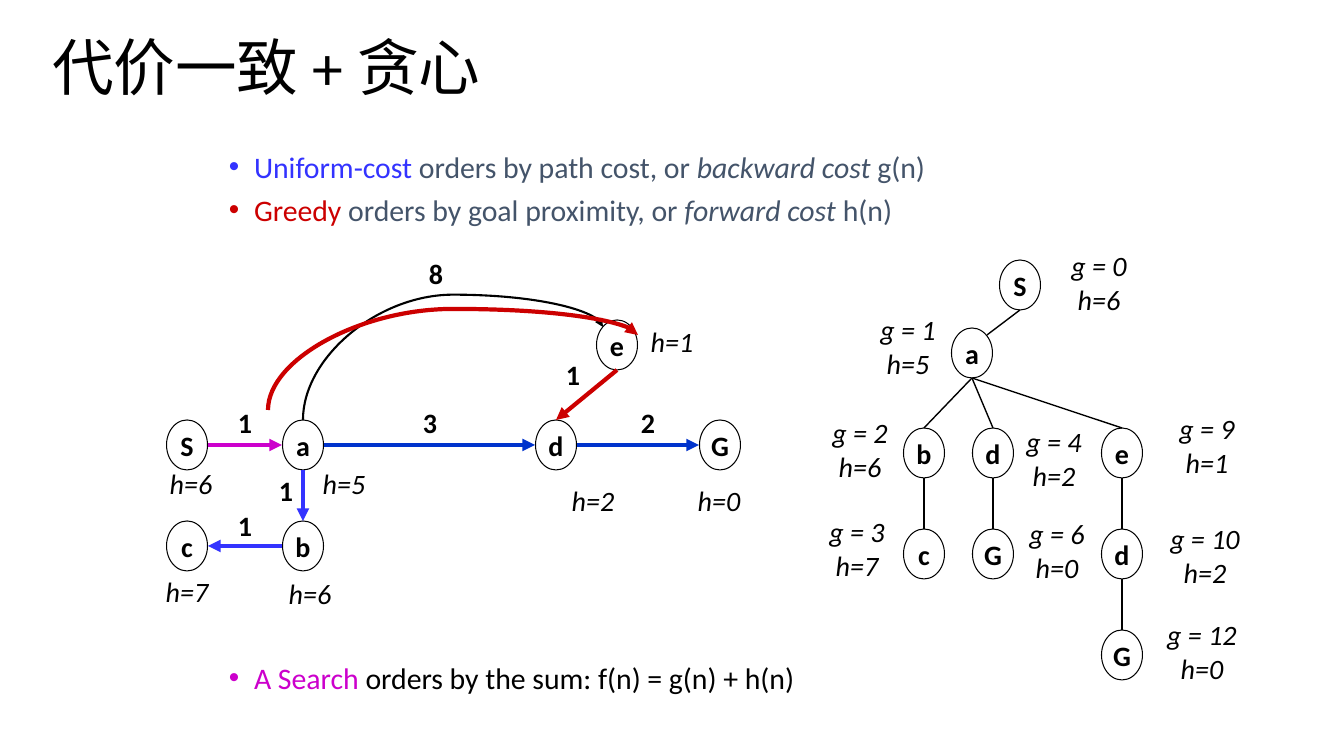
from lxml import etree
from pptx import Presentation
from pptx import util as u
from pptx.dml import color
from pptx.enum import shapes, text
from pptx.oxml import ns

PX = 914400 / 100.8
NODE_W, NODE_H = 41, 50
BLACK, BLUE, NAVY, RED, PURPLE, SLATE = "000000", "3333FF", "0033CC", "CC0000", "CC00CC", "44546A"
PORTS = {"n": (0, -25), "e": (21, 0), "s": (0, 25), "w": (-21, 0), "ne": (15, -18), "nw": (-14, -18)}

GRAPH = {"S": (187, 445), "a": (303, 445), "d": (556, 445), "G": (720, 445),
         "b": (303, 546), "c": (187, 546), "e": (617, 345)}
GRAPH_EDGES = [("S", "e", "a", "w", PURPLE), ("a", "s", "b", "n", BLUE), ("b", "w", "c", "e", BLUE),
               ("e", "s", "d", "n", RED), ("a", "e", "d", "w", NAVY), ("d", "e", "G", "w", NAVY)]
TREE = {"S": (1020, 285), "a": (972, 353), "b": (924, 453), "d": (993, 453), "e": (1122, 453),
        "bc": (924, 554), "dG": (993, 554), "ed": (1122, 554), "edG": (1122, 655)}
TREE_EDGES = [("S", "a", "ne"), ("a", "b", "n"), ("a", "d", "n"), ("a", "e", "n"),
              ("b", "bc", "n"), ("d", "dG", "n"), ("e", "ed", "n"), ("ed", "edG", "n")]
COSTS = [("1", 245, 401), ("8", 436, 252), ("1", 245, 504), ("1", 286, 469),
         ("2", 648, 401), ("3", 430, 401), ("1", 573, 353)]
HEURISTICS = [("h=5", 344, 462), ("h=6", 310, 572), ("h=2", 593, 479), ("h=6", 191, 462),
              ("h=0", 719, 479), ("h=7", 187, 570), ("h=1", 672, 320)]
TREE_VALUES = [(0, 6, 1099, 244), (1, 5, 908, 308), (2, 6, 860, 411), (3, 7, 857, 510), (4, 2, 1054, 420),
               (6, 0, 1057, 512), (9, 1, 1207, 407), (10, 2, 1205, 517), (12, 0, 1202, 613)]


def px(*lengths):
    """Turn pixel lengths into EMU."""
    return [u.Emu(round(length * PX)) for length in lengths]


def rgb(value):
    """Turn a hex string into a colour."""
    return color.RGBColor.from_string(value)


def add_span(para, words, tint=BLACK, size=20, **formats):
    """Add a formatted run to a paragraph."""
    span = para.add_run()
    span.text = words
    for name, value in {"name": "Calibri", "size": u.Pt(size), **formats}.items():
        setattr(span.font, name, value)
    span.font.color.rgb = rgb(tint)


def add_node(page, name, center):
    """Draw a search state as a lettered ellipse."""
    x, y = center
    node = page.shapes.add_shape(shapes.MSO_SHAPE.OVAL,
                                 *px(x - NODE_W / 2, y - NODE_H / 2, NODE_W, NODE_H))
    node.shadow.inherit = False
    node.fill.solid()
    node.fill.fore_color.rgb = rgb("FFFFFF")
    node.line.color.rgb = rgb(BLACK)
    node.line.width = u.Pt(0.75)
    frame = node.text_frame
    frame.word_wrap = False
    frame.vertical_anchor = text.MSO_ANCHOR.MIDDLE
    para = frame.paragraphs[0]
    para.alignment = text.PP_ALIGN.CENTER
    add_span(para, name, bold=True)


def add_label(page, lines, x, top, width, **formats):
    """Write centred lines around a given x."""
    box = page.shapes.add_textbox(*px(x - width / 2, top, width, 10 + 34 * len(lines)))
    frame = box.text_frame
    frame.word_wrap = True
    for index, line in enumerate(lines):
        para = frame.add_paragraph() if index else frame.paragraphs[0]
        para.alignment = text.PP_ALIGN.CENTER
        add_span(para, line, **formats)


def style_line(line, tint, width, arrow):
    """Give a connector its colour, width and arrowhead, without shadow."""
    line.line.color.rgb = rgb(tint)
    line.line.width = u.Pt(width)
    props = line._element.spPr
    if arrow:
        etree.SubElement(props.find(ns.qn("a:ln")), ns.qn("a:tailEnd"), type="triangle")
    etree.SubElement(props, ns.qn("a:effectLst"))


def port(nodes, name, side):
    """Find the point on a node's rim at a given side."""
    return [a + b for a, b in zip(nodes[name], PORTS[side])]


def add_edge(page, start, end, tint, width, arrow):
    """Draw a straight edge."""
    line = page.shapes.add_connector(shapes.MSO_CONNECTOR.STRAIGHT, *px(*start, *end))
    style_line(line, tint, width, arrow)


def add_arc(page, start, end, tint, width):
    """Draw an edge that rises from start and arches over to end."""
    span, rise = end[0] - start[0], start[1] - end[1]
    left = (start[0] + end[0] - rise) / 2
    top = (start[1] + end[1] - span) / 2
    line = page.shapes.add_connector(shapes.MSO_CONNECTOR.CURVE, *px(left, top, left + rise, top + span))
    props = line._element.spPr
    props.find(ns.qn("a:xfrm")).set("rot", "16200000")
    geometry = props.find(ns.qn("a:prstGeom"))
    etree.SubElement(geometry.find(ns.qn("a:avLst")), ns.qn("a:gd"), name="adj1", fmla="val 134800")
    style_line(line, tint, width, True)


def add_bullets(page, top, height, items):
    """Write bulleted paragraphs made of formatted runs."""
    frame = page.shapes.add_textbox(*px(219, top, 843, height)).text_frame
    frame.word_wrap = True
    for index, spans in enumerate(items):
        para = frame.add_paragraph() if index else frame.paragraphs[0]
        props = para._p.get_or_add_pPr()
        props.set("marL", "228600")
        props.set("indent", "-228600")
        etree.SubElement(props, ns.qn("a:buFont"), typeface="Arial")
        etree.SubElement(props, ns.qn("a:buChar"), char="•")
        para.line_spacing = 0.8
        if index:
            para.space_before = u.Pt(10)
        for words, tint, italic in spans:
            add_span(para, words, tint, 21.3, italic=italic)


def add_title(page, words):
    """Place and format the slide title."""
    title = page.shapes.title
    title.left, title.top, title.width, title.height = px(42, 30, 1116, 72)
    title.text_frame.vertical_anchor = text.MSO_ANCHOR.MIDDLE
    para = title.text_frame.paragraphs[0]
    para.alignment = text.PP_ALIGN.LEFT
    add_span(para, words, size=44)


def main():
    """Build the slide on combining uniform-cost and greedy search."""
    deck = Presentation()
    deck.slide_width, deck.slide_height = px(1344, 756)
    page = deck.slides.add_slide(deck.slide_layouts[5])
    add_title(page, "代价一致 + 贪心")
    add_bullets(page, 151, 80, [
        [("Uniform-cost ", BLUE, False), ("orders by path cost, or ", SLATE, False),
         ("backward cost ", SLATE, True), ("g(n)", SLATE, False)],
        [("Greedy ", RED, False), ("orders by goal proximity, or ", SLATE, False),
         ("forward cost ", SLATE, True), ("h(n)", SLATE, False)]])
    add_bullets(page, 662, 40, [
        [("A Search", PURPLE, False), (" orders by the sum: f(n) = g(n) + h(n)", BLACK, False)]])

    add_arc(page, port(GRAPH, "a", "n"), port(GRAPH, "e", "nw"), BLACK, 1.5)
    for nodes in (GRAPH, TREE):
        for name, center in nodes.items():
            add_node(page, name[-1], center)
    for origin, side, target, target_side, tint in GRAPH_EDGES:
        add_edge(page, port(GRAPH, origin, side), port(GRAPH, target, target_side), tint, 3, True)
    add_arc(page, (268, 410), (638, 335), RED, 3)
    for origin, target, side in TREE_EDGES:
        add_edge(page, port(TREE, origin, "s"), port(TREE, target, side), BLACK, 1, False)

    for cost, x, top in COSTS:
        add_label(page, [cost], x, top, 47, bold=True)
    for value, x, top in HEURISTICS:
        add_label(page, [value], x, top, 74, italic=True)
    for g, h, x, top in TREE_VALUES:
        add_label(page, [f"g = {g}", f"h={h}"], x, top, 104, italic=True)
    deck.save("out.pptx")


if __name__ == "__main__":
    main()
